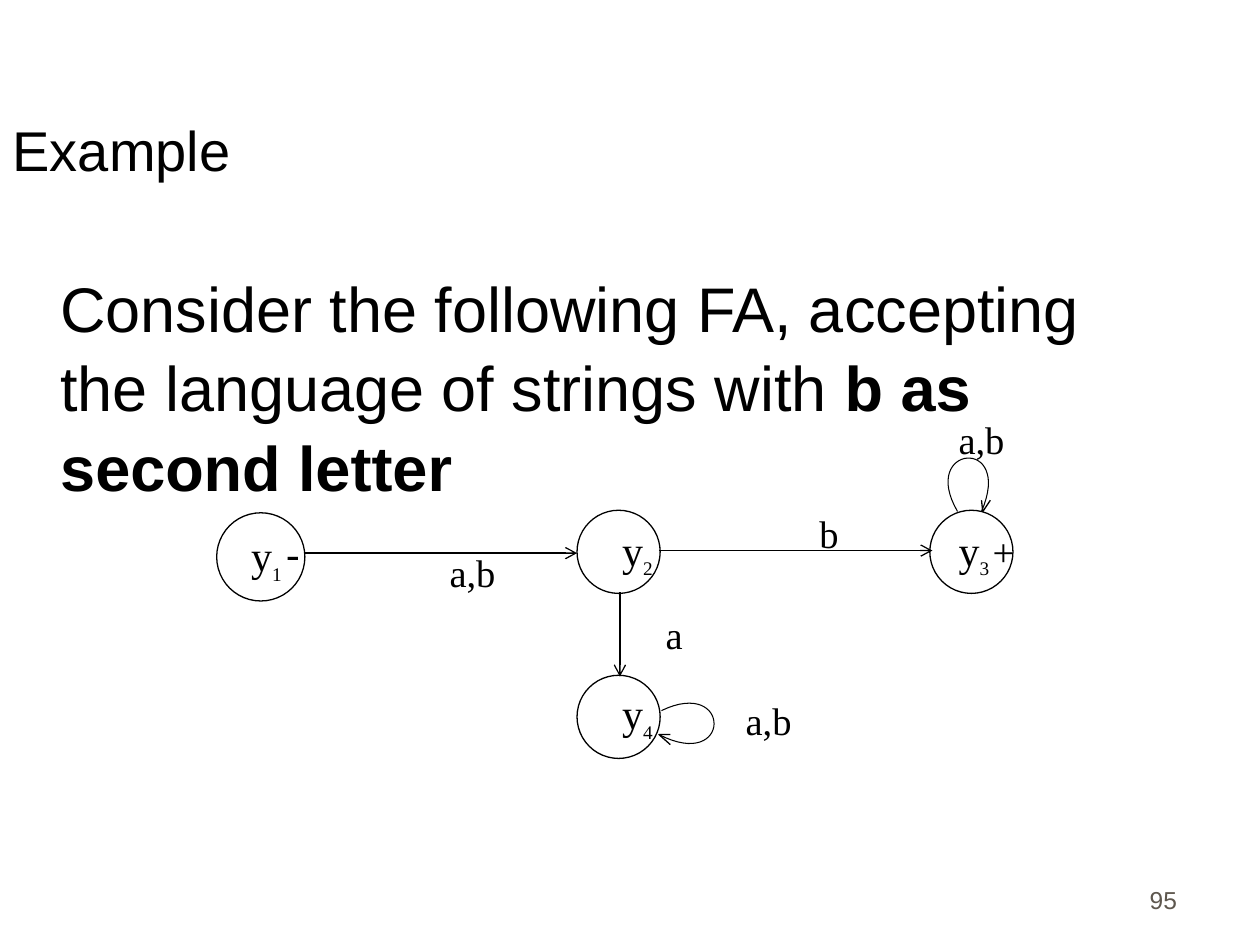
from dataclasses import dataclass

from pptx import Presentation
from pptx.dml.color import RGBColor
from pptx.enum.shapes import MSO_CONNECTOR as Connector, MSO_SHAPE as Shape
from pptx.enum.text import MSO_ANCHOR as Anchor, MSO_AUTO_SIZE as AutoSize, PP_ALIGN as Align
from pptx.oxml.ns import qn
from pptx.util import Pt
from lxml.etree import SubElement

PX = 9144


@dataclass(frozen=True)
class Theme:
    """Colours, fonts and type sizes of the slide."""
    ink: RGBColor = RGBColor(0, 0, 0)
    paper: RGBColor = RGBColor(255, 255, 255)
    muted: RGBColor = RGBColor(0x5E, 0x57, 0x4E)
    sans: str = "Arial"
    serif: str = "Times New Roman"
    sign: str = "Lato"
    title: int = 32
    body: int = 36
    number: int = 14
    state: int = 24
    index: int = 19
    gap: int = 13
    label: int = 22
    line: float = 0.75
    loop: float = 0.6


THEME = Theme()


def emu(*lengths):
    """Turn px lengths into EMU."""
    return [round(length * PX) for length in lengths]


def style(font, size, name, color=THEME.ink, bold=False):
    """Set the look of a font."""
    font.size, font.name, font.bold = Pt(size), name, bold
    font.color.rgb = color


def add_text(slide, box, align, runs, anchor=Anchor.TOP):
    """Add a text box of (text, size, font) runs and return its paragraph."""
    frame = slide.shapes.add_textbox(*emu(*box)).text_frame
    frame.word_wrap, frame.vertical_anchor = True, anchor
    paragraph = frame.paragraphs[0]
    paragraph.alignment = align
    for text, size, name in runs:
        run = paragraph.add_run()
        run.text = text
        style(run.font, size, name)
    return paragraph


def add_title(slide, box, text):
    """Place the title placeholder."""
    title = slide.shapes.title
    title.left, title.top, title.width, title.height = emu(*box)
    frame = title.text_frame
    frame.text = text
    frame.auto_size, frame.vertical_anchor = AutoSize.NONE, Anchor.BOTTOM
    frame.paragraphs[0].alignment = Align.LEFT
    style(frame.paragraphs[0].runs[0].font, THEME.title, THEME.sans)


def add_body(slide, box, plain, strong):
    """Add the indented statement with its bold ending."""
    runs = [(text, THEME.body, THEME.sans) for text in (plain, strong)]
    paragraph = add_text(slide, box, Align.LEFT, runs)
    paragraph.line_spacing = 1.05
    paragraph.runs[1].font.bold = True
    properties = paragraph._p.get_or_add_pPr()
    properties.set("marL", str(38 * PX))
    properties.set("indent", "0")


def add_number(slide, box, text):
    """Add the page number."""
    paragraph = add_text(slide, box, Align.RIGHT, [(text, THEME.number, THEME.sans)], Anchor.BOTTOM)
    paragraph.runs[0].font.color.rgb = THEME.muted


def add_state(slide, left, top, size, text_box, index, sign=None):
    """Add a state circle with its name, index and optional sign."""
    circle = slide.shapes.add_shape(Shape.OVAL, *emu(left, top, size, size))
    circle.shadow.inherit = False
    circle.fill.solid()
    circle.fill.fore_color.rgb = THEME.paper
    circle.line.color.rgb, circle.line.width = THEME.ink, Pt(THEME.line)
    runs = [("y", THEME.state, THEME.serif), (index, THEME.index, THEME.serif)]
    if sign:
        runs += [(" ", THEME.gap, THEME.serif), sign]
    paragraph = add_text(slide, text_box, Align.CENTER, runs)
    for run in paragraph.runs[1:3]:
        run.font._element.set("baseline", "-30000")


def add_arrow(slide, start, end):
    """Add a transition arrow."""
    arrow = slide.shapes.add_connector(Connector.STRAIGHT, *emu(*start, *end))
    arrow.line.color.rgb, arrow.line.width = THEME.ink, Pt(THEME.line)
    SubElement(arrow.line._get_or_add_ln(), qn("a:tailEnd"), type="arrow")
    SubElement(arrow._element.spPr, qn("a:effectLst"))


def add_outline(slide, points, weight):
    """Add an open outline through the points."""
    corners = [emu(*point) for point in points]
    builder = slide.shapes.build_freeform(*corners[0], scale=1.0)
    builder.add_line_segments(corners[1:], close=False)
    outline = builder.convert_to_shape()
    outline.shadow.inherit = False
    outline.fill.background()
    outline.line.color.rgb, outline.line.width = THEME.ink, Pt(weight)


def curve(controls, steps=32):
    """Return points along a cubic curve."""
    points = []
    for step in range(steps + 1):
        t = step / steps
        weights = ((1 - t) ** 3, 3 * t * (1 - t) ** 2, 3 * t * t * (1 - t), t ** 3)
        points.append([sum(w * c for w, c in zip(weights, axis)) for axis in zip(*controls)])
    return points


def add_automaton(slide, left, top):
    """Draw the automaton with its states, transitions and loops."""
    def at(x, y):
        return left + x, top + y

    minus = ("-", THEME.state, THEME.sign)
    plus = ("+", THEME.label, THEME.serif)
    states = [(0, 82, 70, 7, 90, "1", minus), (286, 80, 66, 294, 86, "2", None),
              (566, 80, 66, 571, 86, "3", plus), (286, 211, 66, 294, 216, "4", None)]
    for x, y, size, text_x, text_y, index, sign in states:
        add_state(slide, *at(x, y), size, (*at(text_x, text_y), 80, 46), index, sign)

    arrows = [((70, 114), (286, 114)), ((351, 112), (568, 112)), ((320, 145), (320, 212))]
    for start, end in arrows:
        add_arrow(slide, at(*start), at(*end))

    loops = [([(588, 81), (557, 28), (633, 21), (607, 81)], [(607, 72), (608, 81), (614, 72)]),
             ([(353, 239), (409, 212), (409, 288), (351, 258)], [(360, 258), (351, 258), (360, 266)])]
    for controls, head in loops:
        add_outline(slide, curve([at(*point) for point in controls]), THEME.loop)
        add_outline(slide, [at(*point) for point in head], THEME.line)

    labels = [("a,b", 557, 0), ("b", 436, 75), ("a,b", 153, 106), ("a,b", 388, 223), ("a", 313, 155)]
    for text, x, y in labels:
        add_text(slide, (*at(x, y), 100, 41), Align.CENTER, [(text, THEME.label, THEME.serif)])


def main():
    """Build and save the slide."""
    presentation = Presentation()
    presentation.slide_width, presentation.slide_height = emu(1000, 750)
    slide = presentation.slides.add_slide(presentation.slide_layouts[5])
    add_title(slide, (0, 25, 850, 125), "Example")
    add_body(slide, (0, 206, 894, 456),
             "Consider the following FA, accepting the language of strings with ",
             "b as second letter")
    add_automaton(slide, 172, 325)
    add_number(slide, (736, 681, 208, 50), "95")
    presentation.save("out.pptx")


if __name__ == "__main__":
    main()
